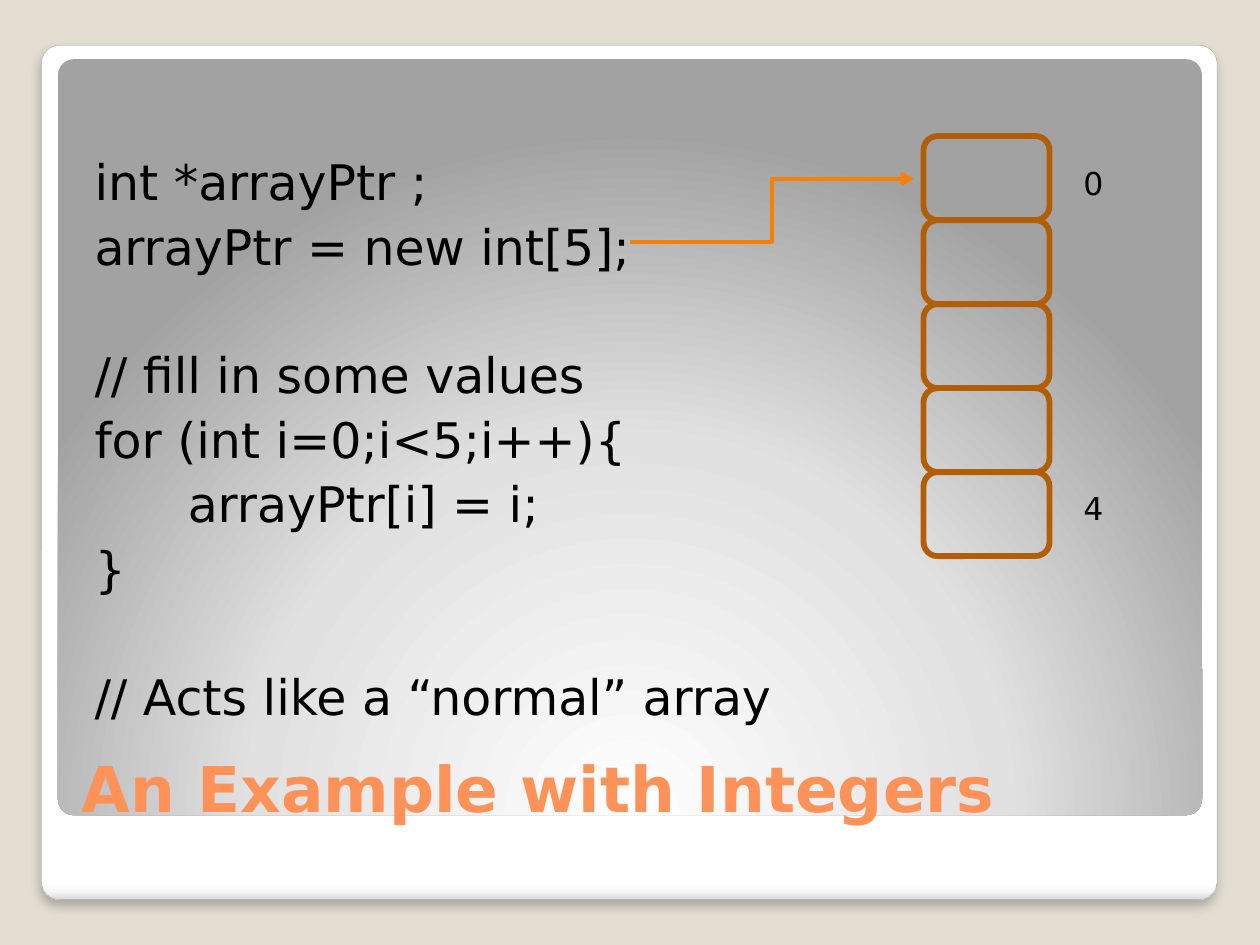
from lxml.etree import SubElement
from pptx import Presentation
from pptx.dml.color import RGBColor
from pptx.enum.shapes import MSO_CONNECTOR as Link, MSO_SHAPE as Kind
from pptx.enum.text import MSO_ANCHOR as Anchor, MSO_AUTO_SIZE as Fit, PP_ALIGN as Align
from pptx.oxml import parse_xml
from pptx.oxml.ns import nsdecls, qn
from pptx.util import Inches, Pt

FONT = "DejaVu Sans"
GAP = 3.5    # points above each line of code
SKIP = 39.5  # points above a line that starts a new block
STEP = 0.74  # inches of indent inside the loop

# text, space above in points, left indent in inches
CODE = [
    ("int *arrayPtr ;", 0, 0),
    ("arrayPtr = new int[5];", GAP, 0),
    ("// fill in some values", SKIP, 0),
    ("for (int i=0;i<5;i++){", GAP, 0),
    ("arrayPtr[i] = i;", GAP, STEP),
    ("}", GAP, 0),
    ("// Acts like a “normal” array", SKIP, 0),
]


def rgb(code):
    return RGBColor.from_string(code)


def assign(item, values):
    for name, value in values.items():
        setattr(item, name, value)


def place(shape, *box):
    names = ("left", "top", "width", "height")
    assign(shape, dict(zip(names, map(Inches, box))))


def write(para, text, size, color="000000", bold=False):
    run = para.add_run()
    run.text = text
    assign(run.font, {"name": FONT, "size": Pt(size), "bold": bold})
    run.font.color.rgb = rgb(color)


def stroke(line, color, width):
    line.color.rgb = rgb(color)
    line.width = Pt(width)


def add_round(slide, box, adj=None):
    shape = slide.shapes.add_shape(Kind.ROUNDED_RECTANGLE, *map(Inches, box))
    shape.shadow.inherit = False
    shape.fill.background()
    shape.line.fill.background()
    if adj is not None:
        shape.adjustments[0] = adj
    return shape


def shade(shape, stops, way):
    """Swap the empty fill for a gradient; way is its direction in XML."""
    marks = "".join(
        f'<a:gs pos="{pos * 1000}"><a:srgbClr val="{color}"/></a:gs>'
        for pos, color in stops)
    grad = parse_xml(f'<a:gradFill {nsdecls("a")} rotWithShape="1">'
                     f'<a:gsLst>{marks}</a:gsLst>{way}</a:gradFill>')
    props = shape.element.spPr
    props.replace(props.find(qn("a:noFill")), grad)


def add_frame(slide):
    card = add_round(slide, (0.33, 0.36, 9.33, 6.78), 0.021)
    stroke(card.line, "A4A4A4", 0.16)
    shade(card, [(0, "FFFFFF"), (98, "FFFFFF"), (99, "F7F7F7"), (100, "DADADA")],
          '<a:lin ang="5400000" scaled="0"/>')
    card.element.spPr.find(qn("a:effectLst")).append(parse_xml(
        f'<a:outerShdw {nsdecls("a")} blurRad="{Pt(6)}" dist="{Pt(4)}" '
        'dir="5400000" algn="tl" rotWithShape="0"><a:srgbClr val="000000">'
        '<a:alpha val="25000"/></a:srgbClr></a:outerShdw>'))
    panel = add_round(slide, (0.46, 0.47, 9.08, 6), 0.021)
    shade(panel, [(0, "FFFFFF"), (55, "E1E1E1"), (100, "A2A2A2")],
          '<a:path path="circle"><a:fillToRect l="50000" t="175000" '
          'r="50000" b="-75000"/></a:path>')
    # Both panels lie behind the placeholders
    tree = slide.shapes.element
    for spot, shape in enumerate((card, panel), 2):
        tree.insert(spot, shape.element)


def fill_title(title):
    place(title, 0.55, 5.45, 8.95, 1.15)
    frame = title.text_frame
    assign(frame, {"vertical_anchor": Anchor.BOTTOM, "auto_size": Fit.NONE})
    para = frame.paragraphs[0]
    para.alignment = Align.LEFT
    write(para, "An Example with Integers", 36, "FF9258", True)


def fill_code(body):
    place(body, 0.55, 0.58, 8.95, 5.09)
    frame = body.text_frame
    assign(frame, {"margin_left": Inches(0.2), "margin_top": Inches(0.62),
                   "vertical_anchor": Anchor.TOP, "auto_size": Fit.NONE})
    for row, (text, above, left) in enumerate(CODE):
        para = frame.add_paragraph() if row else frame.paragraphs[0]
        assign(para, {"space_before": Pt(above), "alignment": Align.LEFT})
        props = para._p.get_or_add_pPr()
        props.set("marL", str(Inches(left)))
        props.set("indent", "0")
        SubElement(props, qn("a:buNone"))
        write(para, text, 28)


def add_cells(slide, count=5):
    high = 2 / 3
    for row in range(count):
        cell = add_round(slide, (7.33, 1.08 + row * high, 1, high))
        stroke(cell.line, "B25E07", 3.35)


def add_arrow(slide, *ends):
    link = slide.shapes.add_connector(Link.ELBOW, *map(Inches, ends))
    stroke(link.line, "F97F00", 2.25)
    SubElement(link.line._get_or_add_ln(), qn("a:tailEnd"), type="arrow")
    SubElement(link.element.spPr, qn("a:effectLst"))


def add_label(slide, text, top):
    box = slide.shapes.add_textbox(*map(Inches, (8.5, top, 0.36, 0.4)))
    assign(box.text_frame, {"word_wrap": False, "auto_size": Fit.SHAPE_TO_FIT_TEXT})
    write(box.text_frame.paragraphs[0], text, 18)


def main():
    deck = Presentation()
    assign(deck, {"slide_width": Inches(10), "slide_height": Inches(7.5)})
    slide = deck.slides.add_slide(deck.slide_layouts[1])
    back = slide.background.fill
    back.solid()
    back.fore_color.rgb = rgb("E3DED1")
    add_frame(slide)
    # Title and code
    fill_title(slide.shapes.title)
    fill_code(slide.placeholders[1])
    # Array in memory
    add_cells(slide)
    add_arrow(slide, 5, 1.92, 7.25, 1.42)
    for text, top in (("0", 1.25), ("4", 3.83)):
        add_label(slide, text, top)
    deck.save("out.pptx")


main()
